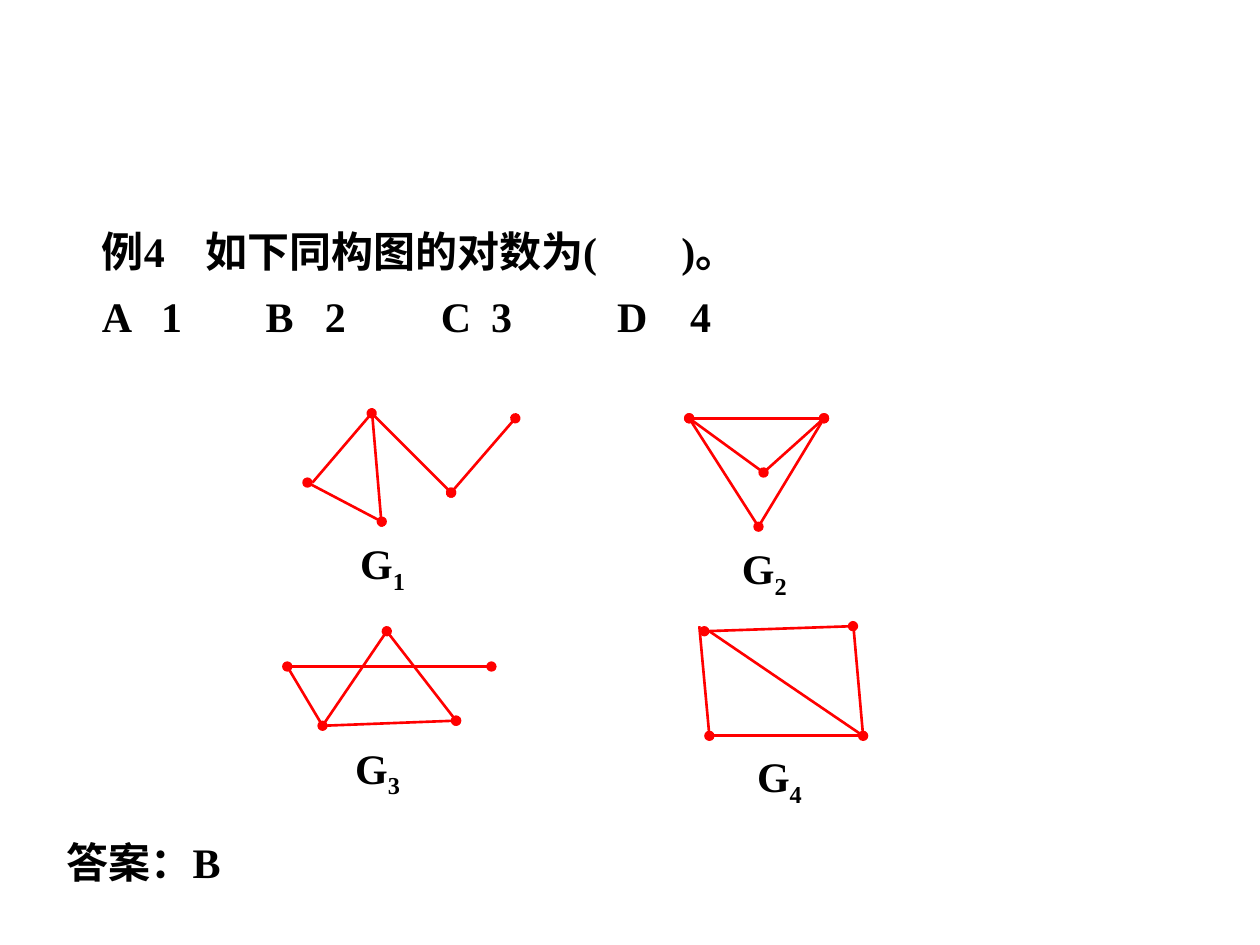
from lxml.etree import SubElement
from pptx import Presentation
from pptx.dml.color import RGBColor
from pptx.enum.shapes import MSO_CONNECTOR
from pptx.enum.text import MSO_AUTO_SIZE
from pptx.oxml.ns import qn
from pptx.util import Inches, Pt

BLACK = RGBColor(0, 0, 0)
RED = RGBColor(255, 0, 0)
FONT_FORMAT = {"name": "Times New Roman", "size": Pt(24), "bold": True}
FRAME_FORMAT = {"word_wrap": True, "auto_size": MSO_AUTO_SIZE.SHAPE_TO_FIT_TEXT}

presentation = Presentation()
presentation.slide_width = Inches(10)
presentation.slide_height = Inches(7.5)
slide = presentation.slides.add_slide(presentation.slide_layouts[6])


def add_text(left, top, width, height, texts, line_spacing=1.0, tab_stops=()):
    box = slide.shapes.add_textbox(Inches(left), Inches(top), Inches(width), Inches(height))
    for name, value in FRAME_FORMAT.items():
        setattr(box.text_frame, name, value)
    paragraph = box.text_frame.paragraphs[0]
    paragraph.line_spacing = line_spacing
    if tab_stops:
        tab_list = SubElement(paragraph._p.get_or_add_pPr(), qn("a:tabLst"))
        for position in tab_stops:
            SubElement(tab_list, qn("a:tab"), pos=str(Inches(position)), algn="l")
    for text in texts:
        run = paragraph.add_run()
        run.text = text
        for name, value in FONT_FORMAT.items():
            setattr(run.font, name, value)
        run.font.color.rgb = BLACK
    return paragraph


def add_edge(start, end, dotted):
    edge = slide.shapes.add_connector(
        MSO_CONNECTOR.STRAIGHT, *(Inches(value) for value in (*start, *end))
    )
    edge.line.color.rgb = RED
    edge.line.width = Pt(1.5)
    if dotted:
        for tag in ("a:headEnd", "a:tailEnd"):
            SubElement(edge.line._get_or_add_ln(), qn(tag), type="oval")
    SubElement(edge._element.spPr, qn("a:effectLst"))


text_lines = [
    (0.71, 1.66, "例4\t如下同构图的对数为(\t)。", (0.82, 4.6)),
    (0.71, 2.18, "A\t1\tB\t2\tC\t3\tD\t4", (0.47, 1.3, 1.77, 2.69, 3.09, 4.09, 4.67)),
    (0.43, 6.51, "答案：B", ()),
]
for left, top, text, tab_stops in text_lines:
    add_text(left, top, 9, 0.58, [text], 1.2, tab_stops)

graphs = [
    ((2.76, 4.22), [
        ((2.95, 3.28), (2.48, 3.83), False),
        ((2.44, 3.83), (3.03, 4.14), True),
        ((2.95, 3.24), (3.03, 4.18), False),
        ((2.95, 3.28), (3.58, 3.91), True),
        ((3.58, 3.91), (4.09, 3.32), True),
    ]),
    ((5.79, 4.26), [
        ((5.47, 3.32), (6.54, 3.32), True),
        ((5.47, 3.32), (6.06, 3.75), True),
        ((6.54, 3.32), (6.06, 3.75), False),
        ((6.54, 3.32), (6.02, 4.18), True),
        ((5.47, 3.32), (6.02, 4.18), False),
    ]),
    ((2.72, 5.84), [
        ((3.07, 5.01), (2.56, 5.76), False),
        ((3.07, 5.01), (3.62, 5.72), True),
        ((2.56, 5.76), (3.62, 5.72), True),
        ((2.56, 5.76), (2.28, 5.29), False),
        ((2.28, 5.29), (3.9, 5.29), True),
    ]),
    ((5.91, 5.91), [
        ((5.59, 5.01), (6.77, 4.97), True),
        ((5.63, 5.84), (6.85, 5.84), True),
        ((6.77, 4.93), (6.85, 5.84), False),
        ((5.63, 5.01), (6.85, 5.84), False),
        ((5.55, 4.97), (5.63, 5.84), False),
    ]),
]
for number, (label_position, edges) in enumerate(graphs, 1):
    for start, end, dotted in edges:
        add_edge(start, end, dotted)
    label = add_text(*label_position, 0.68, 0.56, ["G", str(number)])
    label.runs[1]._r.get_or_add_rPr().set("baseline", "-25000")

presentation.save("out.pptx")
